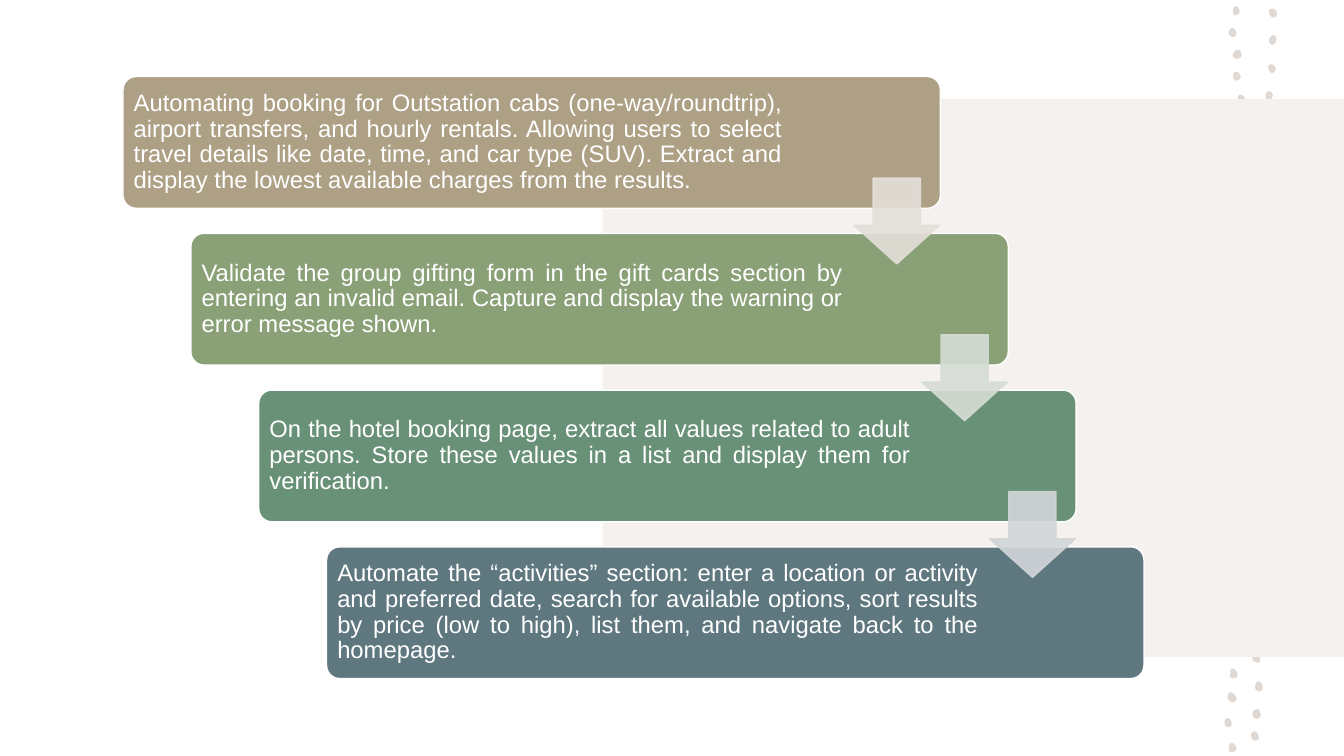
from lxml.etree import SubElement
from pptx import Presentation
from pptx.dml.color import RGBColor
from pptx.enum.shapes import MSO_SHAPE as Shape
from pptx.enum.text import MSO_ANCHOR as Anchor, PP_ALIGN as Align
from pptx.oxml.ns import qn
from pptx.util import Cm, Pt

# Step text, box colour, width of the text in cm
STEPS = [
    ("Automating booking for Outstation cabs (one-way/roundtrip), airport transfers, "
     "and hourly rentals. Allowing users to select travel details like date, time, and "
     "car type (SUV). Extract and display the lowest available charges from the results.",
     "ADA085", 16.71),
    ("Validate the group gifting form in the gift cards section by entering an invalid "
     "email. Capture and display the warning or error message shown.",
     "8AA076", 16.52),
    ("On the hotel booking page, extract all values related to adult persons. Store "
     "these values in a list and display them for verification.",
     "699178", 16.52),
    ("Automate the “activities” section: enter a location or activity and preferred "
     "date, search for available options, sort results by price (low to high), list "
     "them, and navigate back to the homepage.",
     "5F787F", 16.52),
]
ARROW_COLOURS = ["E3DFD9", "D6DDD5", "D2D6D8"]

# Each dot is two Bézier curves: start, then control, control, end, control, control
DOT_UNIT = 0.0254  # cm
DOTS = [
    [(1227, 742), (1227, 745), (1223, 747), (1220, 746), (1217, 738), (1223, 732)],
    [(1267, 14), (1265, 21), (1258, 16), (1259, 11), (1261, 6), (1267, 9)],
    [(1266, 68), (1264, 75), (1259, 73), (1258, 66), (1260, 62), (1265, 64)],
    [(1266, 36), (1268, 42), (1262, 49), (1259, 41), (1259, 37), (1262, 33)],
    [(1263, 95), (1260, 103), (1254, 99), (1256, 92), (1260, 89), (1262, 91)],
    [(1236, 100), (1236, 106), (1229, 104), (1228, 99), (1228, 90), (1235, 94)],
    [(1232, 55), (1231, 59), (1224, 60), (1223, 55), (1224, 48), (1232, 47)],
    [(1231, 76), (1232, 79), (1227, 80), (1225, 80), (1220, 73), (1228, 66)],
    [(1227, 33), (1226, 39), (1219, 37), (1219, 32), (1221, 25), (1226, 28)],
    [(1251, 709), (1251, 715), (1241, 715), (1243, 706), (1249, 700), (1250, 706)],
    [(1250, 651), (1250, 658), (1252, 657), (1247, 657), (1238, 657), (1244, 645)],
    [(1253, 682), (1253, 687), (1246, 687), (1245, 682), (1246, 673), (1252, 675)],
    [(1228, 670), (1227, 675), (1217, 673), (1221, 668), (1219, 659), (1228, 664)],
    [(1227, 693), (1226, 699), (1219, 697), (1218, 692), (1218, 683), (1225, 687)],
    [(1225, 647), (1225, 650), (1221, 652), (1218, 651), (1214, 645), (1222, 636)],
    [(1222, 717), (1223, 722), (1217, 723), (1215, 719), (1214, 712), (1220, 709)],
    [(1230, 11), (1230, 14), (1227, 16), (1224, 15), (1221, 8), (1227, 1)],
    [(1249, 733), (1244, 739), (1238, 729), (1243, 726), (1247, 724), (1249, 729)],
]

THEME = {"dot": "E0D8D2", "panel": "F4F1EF", "white": "FFFFFF",
         "font": "Arial", "size": Pt(17), "line": Pt(1)}

# Lengths in cm
PAGE_W, PAGE_H = 33.87, 19.05
PANEL_LEFT, PANEL_TOP, PANEL_H = 15.19, 2.49, 14.07
STEP_LEFT, STEP_TOP, STEP_W, STEP_H = 3.1, 1.93, 20.6, 3.32
STEP_DX, STEP_DY = 1.71, 3.95
TEXT_INSET, TEXT_MARGIN = 0.09, 0.18
ARROW_LEFT, ARROW_TOP, ARROW_SIZE = 21.52, 4.49, 2.16


def assign(target, values):
    for name, value in values.items():
        setattr(target, name, value)


def paint(shape, colour, outline=None, opacity=None):
    shape.shadow.inherit = False
    shape.fill.solid()
    shape.fill.fore_color.rgb = RGBColor.from_string(colour)
    if outline:
        shape.line.width = THEME["line"]
        shape.line.color.rgb = RGBColor.from_string(outline)
    else:
        shape.line.fill.background()
    if opacity:
        for tag in shape._element.spPr.iter(qn("a:srgbClr")):
            SubElement(tag, qn("a:alpha")).set("val", str(opacity * 1000))


def add_preset(page, kind, left, top, width, height, adjustments=()):
    shape = page.shapes.add_shape(kind, Cm(left), Cm(top), Cm(width), Cm(height))
    for index, value in enumerate(adjustments):
        shape.adjustments[index] = value
    return shape


def curve_points(start, first, second, end, pieces=6):
    """Points along a cubic Bézier curve, without its start."""
    for number in range(1, pieces + 1):
        t = number / pieces
        weights = ((1 - t) ** 3, 3 * t * (1 - t) ** 2, 3 * t * t * (1 - t), t ** 3)
        yield tuple(Cm(DOT_UNIT * sum(w * p[axis] for w, p in
                                      zip(weights, (start, first, second, end))))
                    for axis in (0, 1))


def add_dot(page, dot):
    outline = [*curve_points(*dot[:4]), *curve_points(*dot[3:], dot[0])]
    builder = page.shapes.build_freeform(*outline[-1])
    builder.add_line_segments(outline[:-1], close=True)
    paint(builder.convert_to_shape(), THEME["dot"])


def add_step(page, index, text, colour, text_width):
    left, top = STEP_LEFT + index * STEP_DX, STEP_TOP + index * STEP_DY
    card = add_preset(page, Shape.ROUNDED_RECTANGLE, left, top, STEP_W, STEP_H, [0.1])
    paint(card, colour, THEME["white"])
    box = page.shapes.add_textbox(Cm(left + TEXT_INSET), Cm(top + TEXT_INSET),
                                  Cm(text_width), Cm(STEP_H - 2 * TEXT_INSET))
    frame = box.text_frame
    assign(frame, {"word_wrap": True, "vertical_anchor": Anchor.MIDDLE})
    assign(frame, {f"margin_{side}": Cm(TEXT_MARGIN)
                   for side in ("left", "top", "right", "bottom")})
    para = frame.paragraphs[0]
    assign(para, {"alignment": Align.JUSTIFY, "line_spacing": 0.9})
    span = para.add_run()
    span.text = text
    assign(span.font, {"name": THEME["font"], "size": THEME["size"]})
    span.font.color.rgb = RGBColor.from_string(THEME["white"])


def main():
    deck = Presentation()
    assign(deck, {"slide_width": Cm(PAGE_W), "slide_height": Cm(PAGE_H)})
    page = deck.slides.add_slide(deck.slide_layouts[6])
    for dot in DOTS:
        add_dot(page, dot)
    panel = add_preset(page, Shape.RECTANGLE, PANEL_LEFT, PANEL_TOP,
                       PAGE_W - PANEL_LEFT, PANEL_H)
    paint(panel, THEME["panel"])
    for index, step in enumerate(STEPS):
        add_step(page, index, *step)
    for index, colour in enumerate(ARROW_COLOURS):
        arrow = add_preset(page, Shape.DOWN_ARROW, ARROW_LEFT + index * STEP_DX,
                           ARROW_TOP + index * STEP_DY, ARROW_SIZE, ARROW_SIZE,
                           [0.55, 0.45])
        paint(arrow, colour, colour, opacity=90)
    deck.save("out.pptx")


if __name__ == "__main__":
    main()
